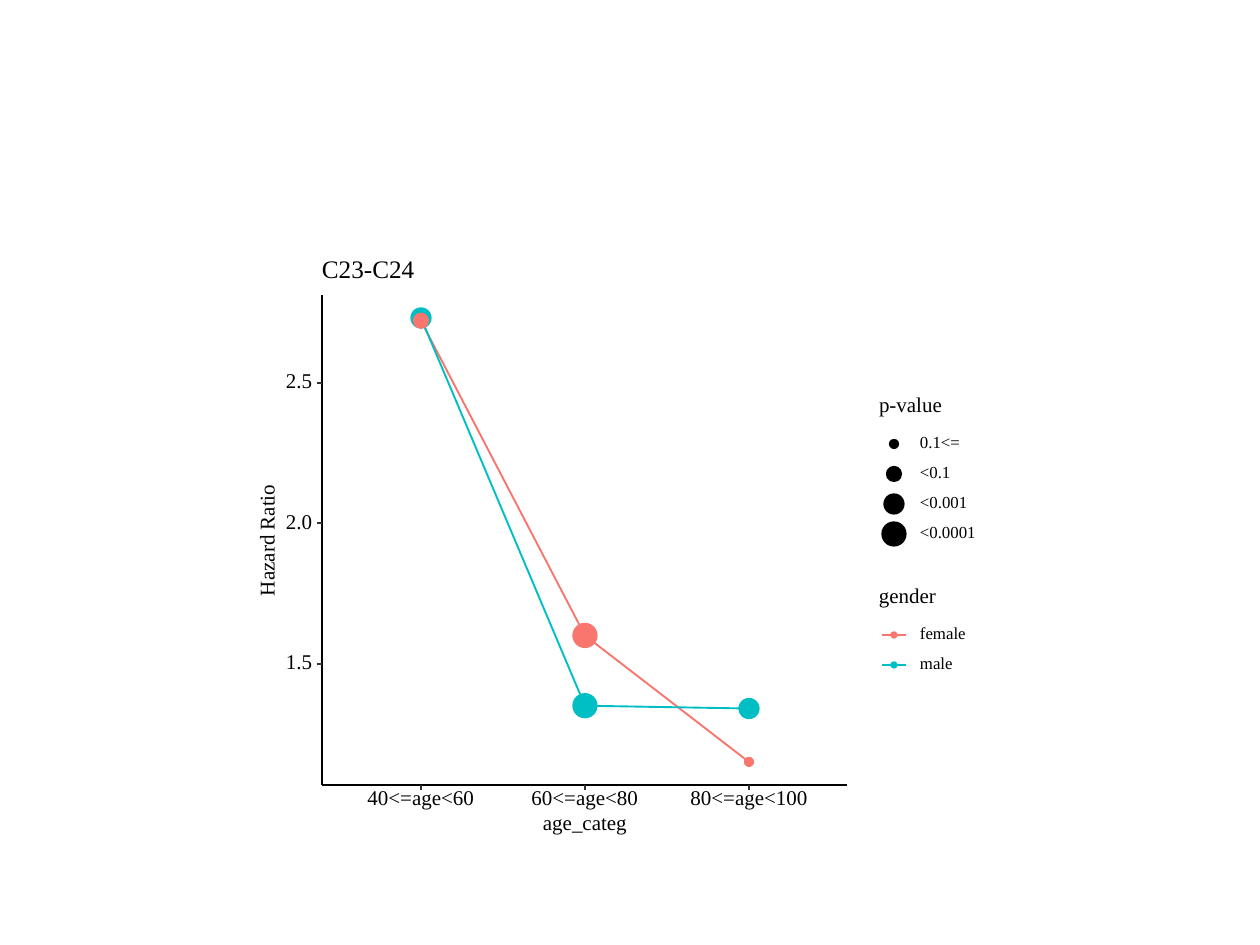
import pptx
import pptx.dml.color
import pptx.enum.shapes
import pptx.enum.text
import pptx.oxml.ns
import pptx.util
import lxml.etree

EMU_PER_PX = pptx.util.Inches(1) / 126
WHITE = pptx.dml.color.RGBColor(0xFF, 0xFF, 0xFF)
BLACK = pptx.dml.color.RGBColor(0x00, 0x00, 0x00)
TICK_GRAY = pptx.dml.color.RGBColor(0x33, 0x33, 0x33)
FEMALE = pptx.dml.color.RGBColor(0xF8, 0x76, 0x6D)
MALE = pptx.dml.color.RGBColor(0x00, 0xBF, 0xC4)

AXIS_LEFT, AXIS_TOP, AXIS_RIGHT, AXIS_BOTTOM = 322, 295, 847, 785
AGE_GROUPS = [("40<=age<60", 107), ("60<=age<80", 107), ("80<=age<100", 117)]
P_VALUES = [("0.1<=", 40, 9), ("<0.1", 30, 15), ("<0.001", 48, 20), ("<0.0001", 55, 24)]
DOT_SIZES = {label: diameter for label, _, diameter in P_VALUES}
FEMALE_RATIOS = [(2.72, "<0.1"), (1.6, "<0.0001"), (1.15, "0.1<=")]
MALE_RATIOS = [(2.73, "<0.001"), (1.35, "<0.0001"), (1.34, "<0.001")]


def px(length):
    return pptx.util.Emu(round(length * EMU_PER_PX))


def age_x(index):
    return 421 + 164 * index


def ratio_y(ratio):
    return 382.6 + (2.5 - ratio) * 281


class Plot:
    font = "Times New Roman"
    line_width = 1.07
    tick_width = 1.16
    dot_outline = 0.71
    text_size = 12
    small_size = 9.6
    title_size = 14.4
    text_slack = 6

    def __init__(self, slide):
        self.shapes = slide.shapes.add_group_shape().shapes

    def outline(self, shape, color, width):
        shape.line.color.rgb = color
        shape.line.width = pptx.util.Pt(width)

    def filled(self, preset, left, top, width, height, color):
        shape = self.shapes.add_shape(preset, px(left), px(top), px(width), px(height))
        shape.shadow.inherit = False
        shape.fill.solid()
        shape.fill.fore_color.rgb = color
        shape.line.fill.background()
        return shape

    def panel(self, left, top, width, height):
        return self.filled(pptx.enum.shapes.MSO_SHAPE.RECTANGLE, left, top, width, height, WHITE)

    def dot(self, x, y, diameter, color):
        radius = diameter / 2
        dot = self.filled(pptx.enum.shapes.MSO_SHAPE.OVAL, x - radius, y - radius,
                          diameter, diameter, color)
        self.outline(dot, color, self.dot_outline)

    def line(self, x1, y1, x2, y2, color, width):
        line = self.shapes.add_connector(pptx.enum.shapes.MSO_CONNECTOR.STRAIGHT,
                                         px(x1), px(y1), px(x2), px(y2))
        self.outline(line, color, width)
        properties = line._element.spPr
        lxml.etree.SubElement(properties, pptx.oxml.ns.qn("a:effectLst"))

    def polyline(self, points, color):
        start, *rest = [(px(x), px(y)) for x, y in points]
        builder = self.shapes.build_freeform(*start)
        builder.add_line_segments(rest, close=False)
        trend = builder.convert_to_shape()
        trend.shadow.inherit = False
        trend.fill.background()
        self.outline(trend, color, self.line_width)

    def text(self, words, left, top, width, height, size=text_size, rotation=0):
        box = self.shapes.add_textbox(px(left), px(top), px(width + self.text_slack), px(height))
        box.rotation = rotation
        frame = box.text_frame
        frame.word_wrap = False
        frame.vertical_anchor = pptx.enum.text.MSO_ANCHOR.MIDDLE
        frame.margin_left = frame.margin_right = frame.margin_top = frame.margin_bottom = 0
        paragraph = frame.paragraphs[0]
        paragraph.line_spacing = pptx.util.Pt(size)
        run = paragraph.add_run()
        run.text = words
        run.font.name = self.font
        run.font.size = pptx.util.Pt(size)
        run.font.color.rgb = BLACK


def draw_series(plot):
    series = [(FEMALE_RATIOS, FEMALE), (MALE_RATIOS, MALE)]
    for ratios, color in series:
        plot.polyline([(age_x(i), ratio_y(ratio)) for i, (ratio, _) in enumerate(ratios)], color)
    for ratios, color in reversed(series):
        for i, (ratio, p_value) in enumerate(ratios):
            plot.dot(age_x(i), ratio_y(ratio), DOT_SIZES[p_value], color)


def draw_axes(plot):
    plot.line(AXIS_LEFT, AXIS_BOTTOM, AXIS_LEFT, AXIS_TOP, BLACK, plot.line_width)
    for ratio in (1.5, 2.0, 2.5):
        y = ratio_y(ratio)
        plot.text(f"{ratio:.1f}", 286, y - 7, 26, 14)
        plot.line(AXIS_LEFT - 5, y, AXIS_LEFT, y, TICK_GRAY, plot.tick_width)
    plot.line(AXIS_LEFT, AXIS_BOTTOM, AXIS_RIGHT, AXIS_BOTTOM, BLACK, plot.line_width)
    for i, (age_group, width) in enumerate(AGE_GROUPS):
        x = age_x(i)
        plot.line(x, AXIS_BOTTOM + 5, x, AXIS_BOTTOM, TICK_GRAY, plot.tick_width)
        plot.text(age_group, x - width / 2, 790, width, 19)
    plot.text("age_categ", 543, 815, 84, 18)
    plot.text("Hazard Ratio", 210, 530, 111, 15, rotation=270)


def draw_legends(plot):
    key_x, label_left, row_step = 894, 920, 30
    plot.panel(868, 389, 117, 171)
    plot.text("p-value", 879, 397, 63, 19)
    for i, (label, width, diameter) in enumerate(P_VALUES):
        y = 444 + row_step * i
        plot.dot(key_x, y, diameter, BLACK)
        plot.text(label, label_left, y - 6, width, 11, plot.small_size)

    plot.panel(868, 581, 107, 111)
    plot.text("gender", 879, 588, 57, 19)
    for i, (label, width, color) in enumerate([("female", 45, FEMALE), ("male", 33, MALE)]):
        y = 635 + row_step * i
        plot.line(key_x - 12, y, key_x + 12, y, color, plot.line_width)
        plot.dot(key_x, y, 6, color)
        plot.text(label, label_left, y - 6, width, 11, plot.small_size)


def main():
    deck = pptx.Presentation()
    deck.slide_width, deck.slide_height = px(1260), px(945)
    plot = Plot(deck.slides.add_slide(deck.slide_layouts[6]))
    background = plot.panel(252, 252, 745, 595)
    plot.outline(background, WHITE, plot.tick_width)
    plot.panel(AXIS_LEFT, AXIS_TOP, AXIS_RIGHT - AXIS_LEFT, AXIS_BOTTOM - AXIS_TOP)
    draw_series(plot)
    draw_axes(plot)
    draw_legends(plot)
    plot.text("C23-C24", AXIS_LEFT, 262, 92, 18, plot.title_size)
    deck.save("out.pptx")


if __name__ == "__main__":
    main()
